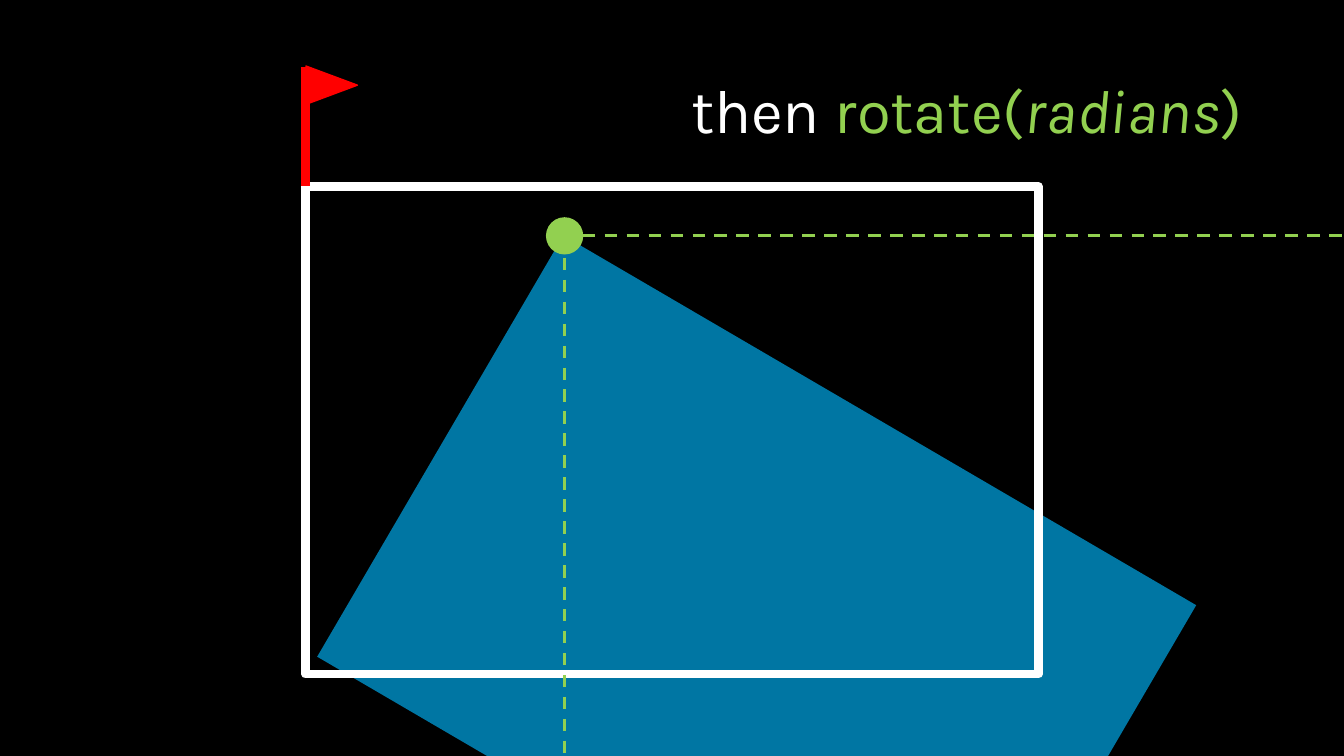
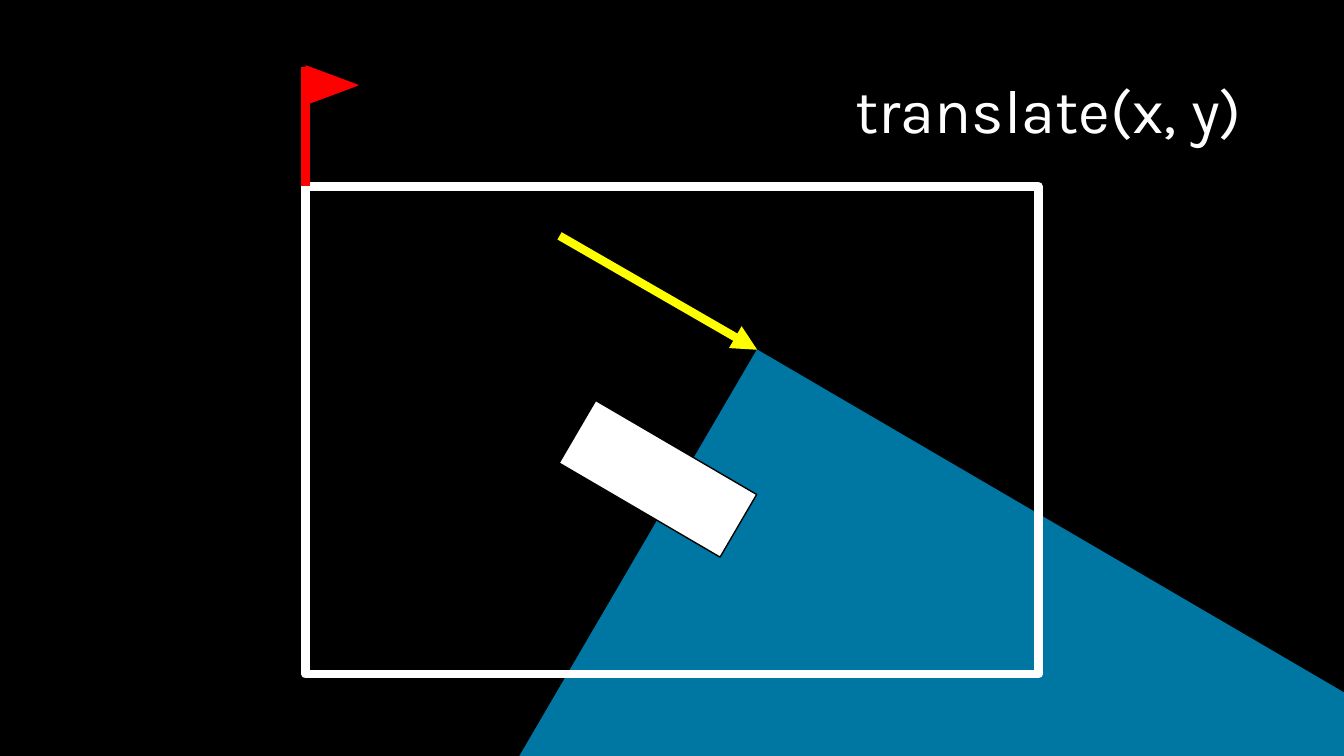
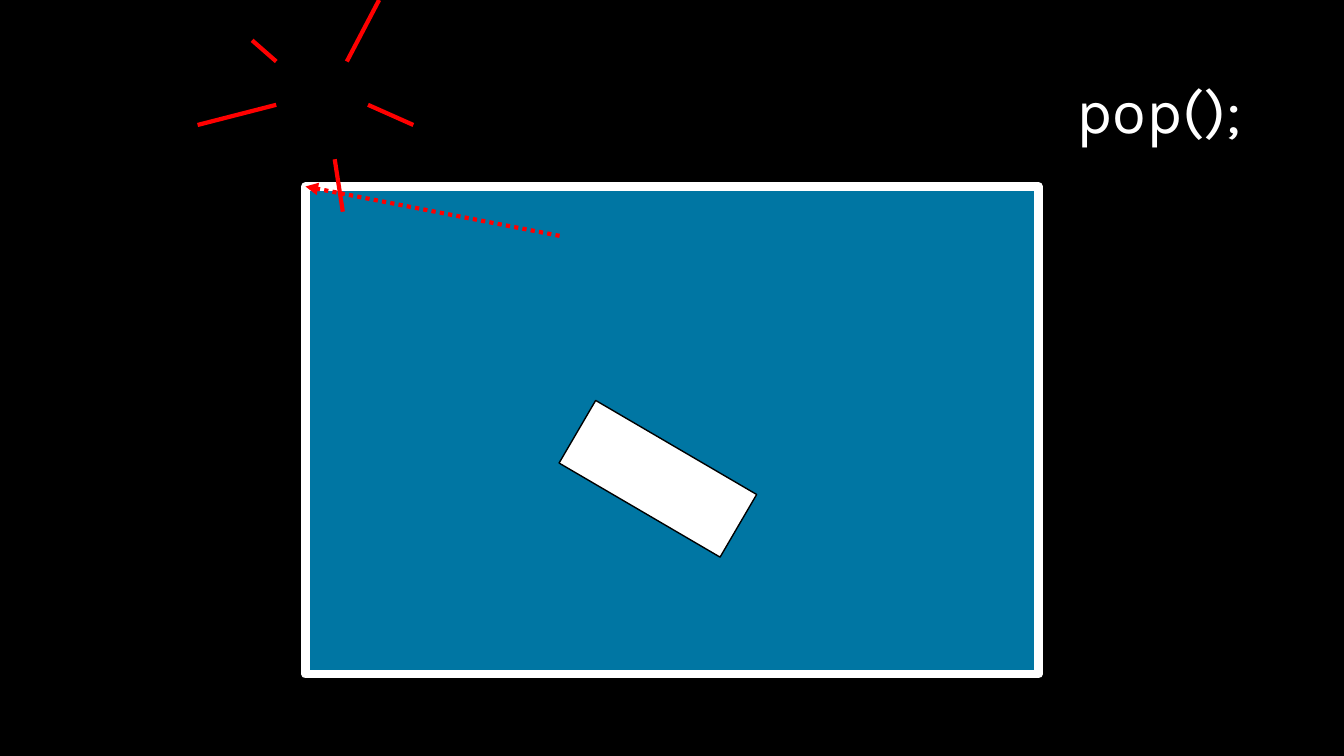
"""Builds three slides that show rotate, translate and pop on a drawing canvas."""
from dataclasses import dataclass

from lxml import etree
from pptx import Presentation
from pptx.dml.color import RGBColor
from pptx.enum.dml import MSO_LINE
from pptx.enum.shapes import MSO_CONNECTOR, MSO_SHAPE
from pptx.enum.text import MSO_ANCHOR, PP_ALIGN
from pptx.oxml.ns import qn
from pptx.util import Inches, Pt

RECTANGLE = MSO_SHAPE.RECTANGLE
TRIANGLE = MSO_SHAPE.ISOSCELES_TRIANGLE
OVAL = MSO_SHAPE.OVAL
STRAIGHT = MSO_CONNECTOR.STRAIGHT
DASH = MSO_LINE.DASH
DOT = MSO_LINE.ROUND_DOT
MIDDLE = MSO_ANCHOR.MIDDLE
RIGHT = PP_ALIGN.RIGHT


@dataclass(frozen=True)
class Theme:
    black: str = "000000"
    white: str = "FFFFFF"
    blue: str = "0076A3"
    green: str = "92D050"
    red: str = "FF0000"
    yellow: str = "FFFF00"
    font: str = "Karla"
    title_size: int = 44
    thick: float = 6
    medium: float = 3
    thin: float = 2.25
    outline: float = 1


THEME = Theme()
TILT = 30.3
CANVAS_SIZE = (7.27, 4.84)
ORIGIN = (3.03, 1.85)
FLAG_TOP = (3.03, 0.66)
PENNANT = (3.1, 0.59, 0.38, 0.51)
TITLE_BOX = (0.92, 0.4, 11.5, 1.45)
BAR = (5.6, 4.39, 1.85, 0.72)
PIVOT = (5.6, 2.34)
PIVOT_SIZE = 0.37
ARROW_START = (5.55, 2.34)

AXES = [
    (PIVOT, (5.6, 8.13)),
    ((5.78, 2.34), (15.27, 2.34)),
]
BURST = [
    ((2.74, 0.61), (2.5, 0.4)),
    ((2.74, 1.04), (1.96, 1.24)),
    ((3.44, 0.61), (3.76, 0)),
    ((3.65, 1.04), (4.1, 1.24)),
    ((3.32, 1.58), (3.4, 2.1)),
]
ROTATE_TITLE = [
    ("then ", THEME.white, False),
    ("rotate(", THEME.green, False),
    ("radians", THEME.green, True),
    (")", THEME.green, False),
]
TRANSLATE_TITLE = [("translate(x, y)", THEME.white, False)]
POP_TITLE = [("pop();", THEME.white, False)]


def color(value):
    return RGBColor.from_string(value)


def add_figure(shapes, kind, box, fill=None, line=None, width=THEME.outline, rotation=0):
    shape = shapes.add_shape(kind, *map(Inches, box))
    shape.shadow.inherit = False
    shape.rotation = rotation
    if fill:
        shape.fill.solid()
        shape.fill.fore_color.rgb = color(fill)
    else:
        shape.fill.background()
    if line:
        shape.line.color.rgb = color(line)
        shape.line.width = Pt(width)
    else:
        shape.line.fill.background()


def add_line(shapes, start, end, line, width, dash=None, arrow=False):
    connector = shapes.add_connector(STRAIGHT, *map(Inches, start + end))
    connector.line.color.rgb = color(line)
    connector.line.width = Pt(width)
    if dash:
        connector.line.dash_style = dash
    properties = connector.element.spPr
    if arrow:
        etree.SubElement(properties.find(qn("a:ln")), qn("a:tailEnd"), type="triangle")
    etree.SubElement(properties, qn("a:effectLst"))


def add_title(shapes, runs):
    frame = shapes.add_textbox(*map(Inches, TITLE_BOX)).text_frame
    frame.word_wrap = True
    frame.vertical_anchor = MIDDLE
    paragraph = frame.paragraphs[0]
    paragraph.alignment = RIGHT
    paragraph.line_spacing = 0.9
    for text, ink, italic in runs:
        run = paragraph.add_run()
        run.text = text
        run.font.name = THEME.font
        run.font.size = Pt(THEME.title_size)
        run.font.color.rgb = color(ink)
        run.font.italic = italic


def add_flag(shapes):
    flag = shapes.add_group_shape().shapes
    add_line(flag, FLAG_TOP, ORIGIN, THEME.red, THEME.thick)
    add_figure(flag, TRIANGLE, PENNANT, THEME.red, THEME.red, rotation=90)


def add_bar(shapes):
    add_figure(shapes, RECTANGLE, BAR, THEME.white, THEME.black, rotation=TILT)


def start_slide(presentation, title, canvas_corner, rotation=0):
    shapes = presentation.slides.add_slide(presentation.slide_layouts[6]).shapes
    add_figure(shapes, RECTANGLE, canvas_corner + CANVAS_SIZE, THEME.blue, rotation=rotation)
    add_title(shapes, title)
    add_figure(shapes, RECTANGLE, ORIGIN + CANVAS_SIZE, line=THEME.white, width=THEME.thick)
    return shapes


def build_rotate(presentation):
    shapes = start_slide(presentation, ROTATE_TITLE, (3.87, 3.84), TILT)
    add_flag(shapes)
    corner = tuple(center - PIVOT_SIZE / 2 for center in PIVOT)
    add_figure(shapes, OVAL, corner + (PIVOT_SIZE, PIVOT_SIZE), THEME.green)
    for start, end in AXES:
        add_line(shapes, start, end, THEME.green, THEME.thin, DASH)


def build_translate(presentation):
    shapes = start_slide(presentation, TRANSLATE_TITLE, (5.79, 4.97), TILT)
    add_flag(shapes)
    add_bar(shapes)
    add_line(shapes, ARROW_START, (7.51, 3.47), THEME.yellow, THEME.thick, arrow=True)


def build_pop(presentation):
    shapes = start_slide(presentation, POP_TITLE, ORIGIN)
    add_bar(shapes)
    for start, end in BURST:
        add_line(shapes, start, end, THEME.red, THEME.medium)
    add_line(shapes, ARROW_START, ORIGIN, THEME.red, THEME.medium, DOT, arrow=True)


def main():
    presentation = Presentation()
    presentation.slide_width = Inches(13.33)
    presentation.slide_height = Inches(7.5)
    background = presentation.slide_master.background.fill
    background.solid()
    background.fore_color.rgb = color(THEME.black)
    for build in (build_rotate, build_translate, build_pop):
        build(presentation)
    presentation.save("out.pptx")


if __name__ == "__main__":
    main()
